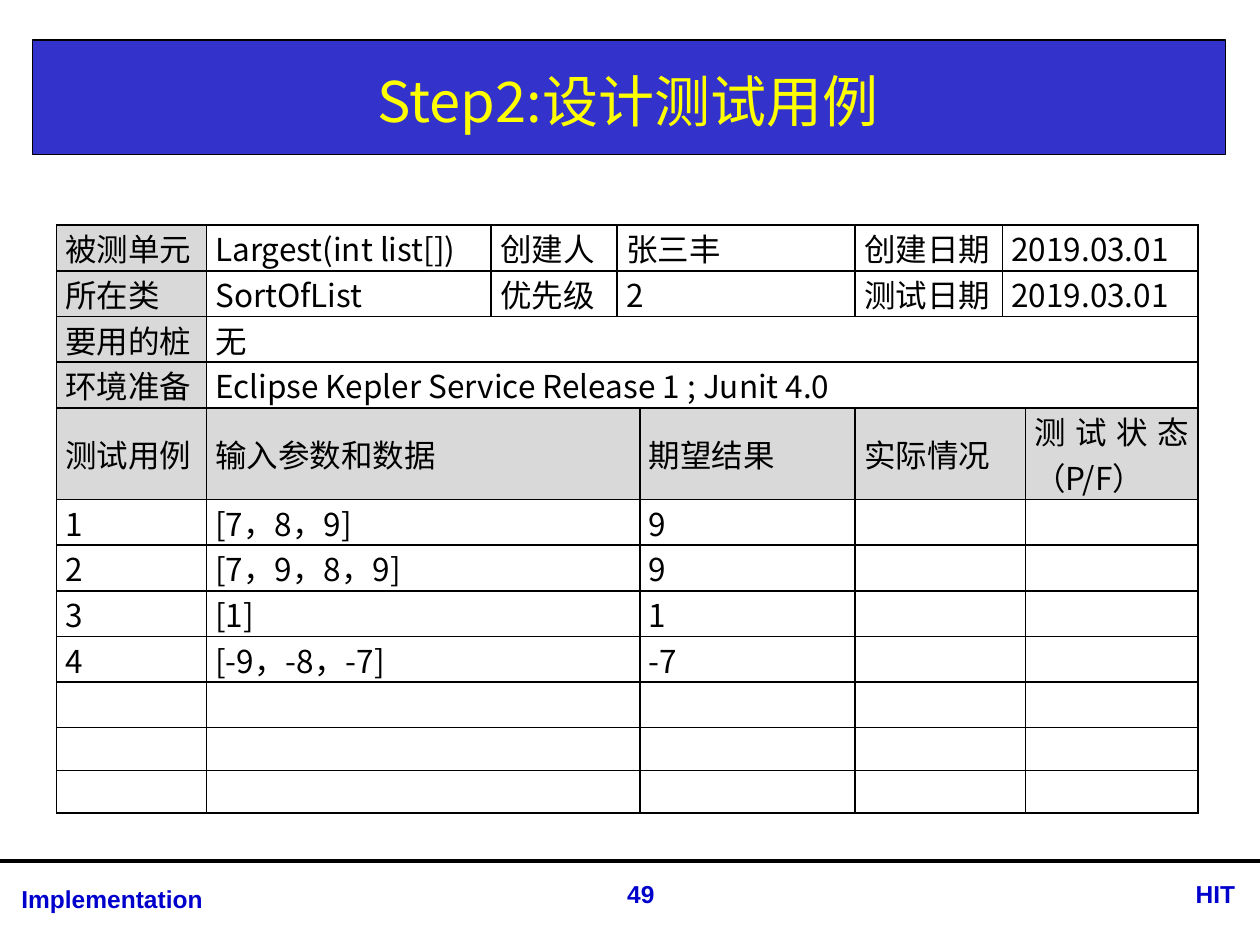
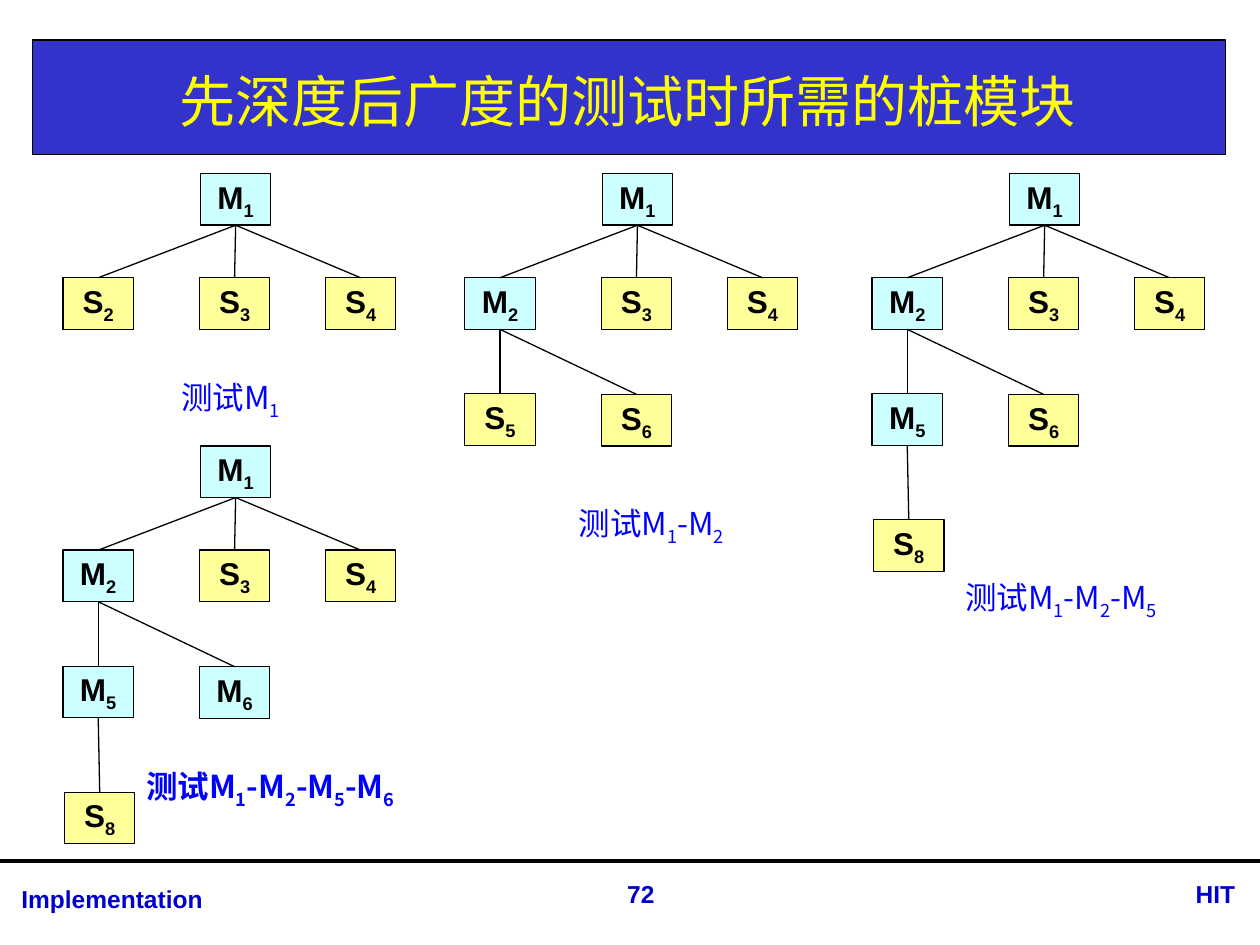
from dataclasses import dataclass
from itertools import groupby

from lxml import etree
from pptx import Presentation
from pptx import util as u
from pptx.dml.color import RGBColor
from pptx.enum import shapes, text
from pptx.oxml.ns import qn

HUE = {
    "band": "3333CC", "title": "FFFF00", "foot": "0000CC", "note": "0000FF",
    "ink": "000000", "head": "D9D9D9", "unit": "CCFFFF", "stub": "FFFF99",
}
SANS, HAN = "Arial", "Noto Sans CJK SC"
LEFT, MID, RIGHT, JUST = (text.PP_ALIGN.LEFT, text.PP_ALIGN.CENTER,
                          text.PP_ALIGN.RIGHT, text.PP_ALIGN.JUSTIFY)


@dataclass
class Style:
    size: float
    face: str
    hue: str
    bold: bool = False
    align: int = MID


@dataclass
class Label:
    x: float
    y: float
    w: float
    words: str
    style: Style


@dataclass
class Slot:
    x: float
    y: float
    top: int | None


@dataclass
class Tree:
    x: float
    y: float
    names: str


TITLE = Style(32, HAN, "title")
CELL = Style(18, HAN, "ink", align=JUST)
NODE = Style(18, SANS, "ink", True)
NOTE = Style(18, HAN, "note")
BOLD = Style(18, HAN, "note", True)

COLS = [3.02, 5.74, 2.54, 0.46, 4.34, 2.97, 0.46, 3.48]
ROWS = [0.92] * 4 + [1.85] + [0.92] * 5 + [0.86] * 2
FACTS = [0, 1, 2, 3, 5, 6]
WIDE = [0, 1]
CASES = [0, 1, 4, 5, 7]
GRID = [
    (FACTS, ["被测单元", "Largest(int list[])", "创建人", "张三丰", "创建日期", "2019.03.01"]),
    (FACTS, ["所在类", "SortOfList", "优先级", "2", "测试日期", "2019.03.01"]),
    (WIDE, ["要用的桩", "无"]),
    (WIDE, ["环境准备", "Eclipse Kepler Service Release 1 ; Junit 4.0"]),
    (CASES, ["测试用例", "输入参数和数据", "期望结果", "实际情况", "测试状态（P/F）"]),
    (CASES, ["1", "[7，8，9]", "9", "", ""]),
    (CASES, ["2", "[7，9，8，9]", "9", "", ""]),
    (CASES, ["3", "[1]", "1", "", ""]),
    (CASES, ["4", "[-9，-8，-7]", "-7", "", ""]),
] + [(CASES, [""] * 5)] * 3
HEAD = 4

SLOTS = [
    Slot(2.77, 0, None),
    Slot(0, 2.1, 0), Slot(2.75, 2.1, 0), Slot(5.29, 2.1, 0),
    Slot(0, 4.44, 1), Slot(2.75, 4.45, 1),
    Slot(0.03, 6.98, 4),
]
TREES = [
    Tree(1.27, 3.5, "M1 S2 S3 S4"),
    Tree(9.37, 3.5, "M1 M2 S3 S4 S5 S6"),
    Tree(17.58, 3.5, "M1 M2 S3 S4 M5 S6 S8"),
    Tree(1.27, 8.99, "M1 M2 S3 S4 M5 M6 S8"),
]
NOTES = [
    Label(2.11, 7.49, 5.08, "测试M1", NOTE),
    Label(10.59, 10.03, 5.08, "测试M1-M2", NOTE),
    Label(18.85, 11.53, 5.08, "测试M1-M2-M5", NOTE),
    Label(2.49, 15.34, 5.92, "测试M1-M2-M5-M6", BOLD),
]


def tint(name: str) -> RGBColor:
    return RGBColor.from_string(HUE[name])


def add_run(para, words: str, style: Style, sub: bool = False) -> None:
    run = para.add_run()
    run.text = words
    font = run.font
    font.size, font.name, font.bold = u.Pt(style.size), style.face, style.bold
    font.color.rgb = tint(style.hue)
    props = run._r.get_or_add_rPr()
    etree.SubElement(props, qn("a:ea")).set("typeface", style.face)
    if sub:
        props.set("baseline", "-25000")


def write(frame, words: str, style: Style, subs: bool = False) -> None:
    para = frame.paragraphs[0]
    para.alignment = style.align
    if not subs:
        add_run(para, words, style)
        return
    for low, part in groupby(words, str.isdigit):
        add_run(para, "".join(part), style, low)


def add_label(slide, label: Label, subs: bool = False) -> None:
    box = slide.shapes.add_textbox(u.Cm(label.x), u.Cm(label.y), u.Cm(label.w), u.Cm(0.9))
    box.text_frame.word_wrap = True
    write(box.text_frame, label.words, label.style, subs)


def add_box(slide, x: float, y: float, w: float, h: float, hue: str):
    box = slide.shapes.add_shape(shapes.MSO_SHAPE.RECTANGLE, u.Cm(x), u.Cm(y), u.Cm(w), u.Cm(h))
    box.shadow.inherit = False
    box.fill.solid()
    box.fill.fore_color.rgb = tint(hue)
    box.line.color.rgb = tint("ink")
    box.line.width = u.Pt(0.75)
    return box


def add_line(slide, x: float, y: float, end: float, width: float):
    line = slide.shapes.add_connector(
        shapes.MSO_CONNECTOR.STRAIGHT, u.Cm(x), u.Cm(y), u.Cm(end), u.Cm(y))
    line.line.color.rgb = tint("ink")
    line.line.width = u.Pt(width)
    etree.SubElement(line.element.spPr, qn("a:effectLst"))
    return line


def add_page(deck, name: str, page: int):
    slide = deck.slides.add_slide(deck.slide_layouts[5])
    title = slide.shapes.title
    title.left, title.top = u.Cm(0.66), u.Cm(0.91)
    title.width, title.height = u.Cm(24), u.Cm(2.21)
    frame = title.text_frame
    frame.auto_size = text.MSO_AUTO_SIZE.NONE
    frame.vertical_anchor = text.MSO_ANCHOR.MIDDLE
    write(frame, name, TITLE)
    title.element.addprevious(add_box(slide, 0.66, 0.81, 24.05, 2.31, "band").element)
    add_line(slide, 0, 17.35, 25.4, 2.25)
    for x, y, w, words, align in [
        (0.18, 17.7, 9.78, "Implementation", LEFT),
        (11.61, 17.6, 2.62, str(page), MID),
        (22.53, 17.6, 2.62, "HIT", RIGHT),
    ]:
        add_label(slide, Label(x, y, w, words, Style(14, SANS, "foot", True, align)))
    return slide


def edge(cell) -> None:
    props = cell._tc.get_or_add_tcPr()
    for side in "LRTB":
        line = etree.SubElement(props, qn(f"a:ln{side}"), w=str(u.Pt(1)))
        fill = etree.SubElement(line, qn("a:solidFill"))
        etree.SubElement(fill, qn("a:srgbClr"), val=HUE["ink"])


def add_grid(slide) -> None:
    table = slide.shapes.add_table(
        len(ROWS), len(COLS), u.Cm(1.14), u.Cm(4.54), u.Cm(sum(COLS)), u.Cm(sum(ROWS))).table
    table.first_row = table.horz_banding = False
    for col, width in zip(table.columns, COLS):
        col.width = u.Cm(width)
    for row, height in zip(table.rows, ROWS):
        row.height = u.Cm(height)
    for r, (starts, words) in enumerate(GRID):
        for c in range(len(COLS)):
            cell = table.cell(r, c)
            edge(cell)
            cell.margin_left = cell.margin_right = u.Cm(0.18)
            cell.margin_top = cell.margin_bottom = 0
            cell.vertical_anchor = text.MSO_ANCHOR.MIDDLE
            if r == HEAD or (c == 0 and r < HEAD):
                cell.fill.solid()
                cell.fill.fore_color.rgb = tint("head")
            else:
                cell.fill.background()
        for c, stop, word in zip(starts, starts[1:] + [len(COLS)], words):
            if stop - c > 1:
                table.cell(r, c).merge(table.cell(r, stop - 1))
            if word:
                write(table.cell(r, c).text_frame, word, CELL)


def add_tree(slide, tree: Tree) -> None:
    nodes = []
    for name, slot in zip(tree.names.split(), SLOTS):
        hue = "unit" if name[0] == "M" else "stub"
        node = add_box(slide, tree.x + slot.x, tree.y + slot.y, 1.42, 1.04, hue)
        node.text_frame.word_wrap = False
        node.text_frame.vertical_anchor = text.MSO_ANCHOR.MIDDLE
        write(node.text_frame, name, NODE, True)
        if slot.top is not None:
            line = add_line(slide, 0, 0, 1, 0.75)
            line.begin_connect(nodes[slot.top], 2)
            line.end_connect(node, 0)
        nodes.append(node)


def main() -> None:
    deck = Presentation()
    deck.slide_width, deck.slide_height = u.Cm(25.4), u.Cm(19.05)
    add_grid(add_page(deck, "Step2:设计测试用例", 49))
    slide = add_page(deck, "先深度后广度的测试时所需的桩模块", 72)
    for tree in TREES:
        add_tree(slide, tree)
    for note in NOTES:
        add_label(slide, note, True)
    deck.save("out.pptx")


if __name__ == "__main__":
    main()
